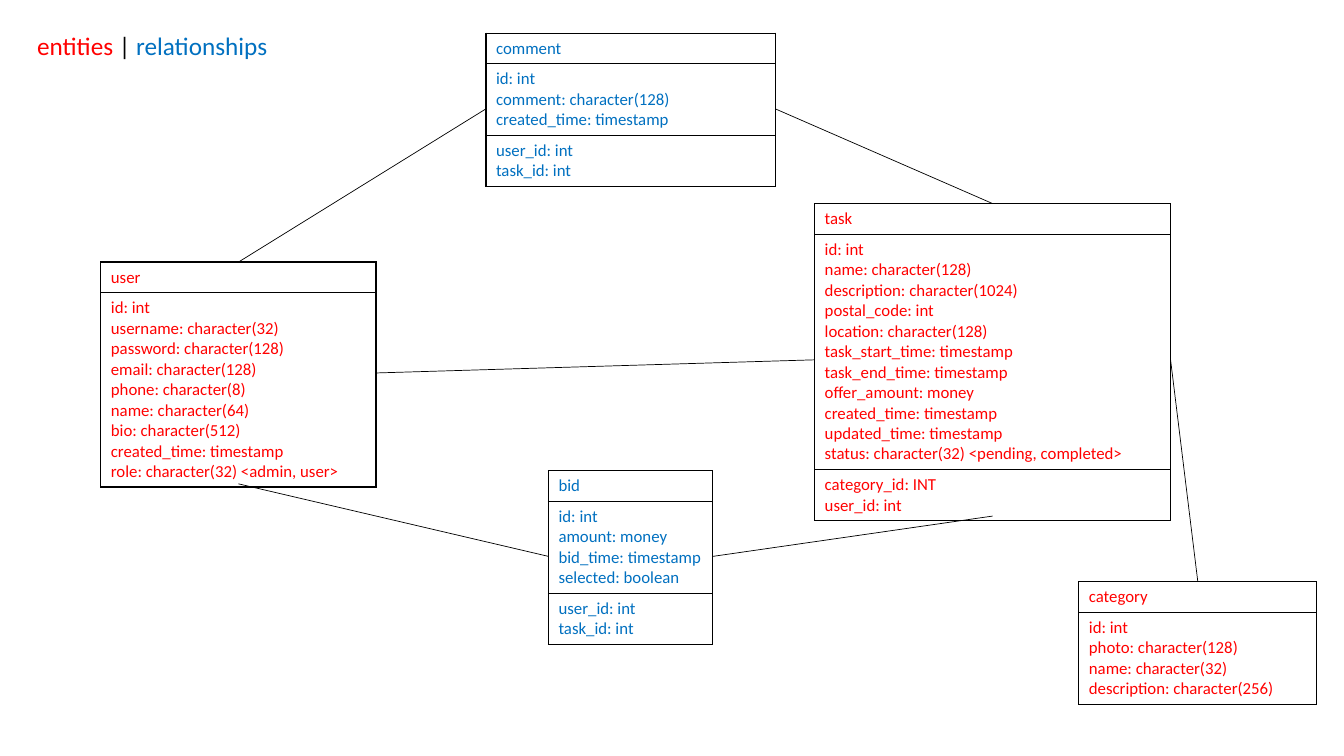
from dataclasses import dataclass

import lxml.etree
import pptx
import pptx.dml.color
import pptx.enum.shapes
import pptx.oxml.ns
import pptx.util

Inches = pptx.util.Inches
qn = pptx.oxml.ns.qn


@dataclass(frozen=True)
class Theme:
    font: str = "Calibri"
    entity: str = "FF0000"
    relationship: str = "0070C0"
    ink: str = "000000"
    title_size: float = 18
    body_size: float = 12
    border_width: float = 1
    link_width: float = 0.5
    line_height: float = 0.2
    cell_padding: float = 0.1


THEME = Theme()


@dataclass(frozen=True)
class Box:
    left: float
    top: float
    width: float
    height: float

    def side(self, name):
        """Return the midpoint of one side."""
        across, down = {"left": (0, 0.5), "right": (1, 0.5),
                        "top": (0.5, 0), "bottom": (0.5, 1)}[name]
        return self.left + across * self.width, self.top + down * self.height


# Name: kind, (left, top, width), sections below the name
TABLES = {
    "user": ("entity", (1, 2.6, 2.73), [
        ["id: int", "username: character(32)", "password: character(128)",
         "email: character(128)", "phone: character(8)", "name: character(64)",
         "bio: character(512)", "created_time: timestamp",
         "role: character(32) <admin, user>"]]),
    "category": ("entity", (10.7, 5.77, 2.36), [
        ["id: int", "photo: character(128)", "name: character(32)",
         "description: character(256)"]]),
    "task": ("entity", (8.08, 2.02, 3.53), [
        ["id: int", "name: character(128)", "description: character(1024)",
         "postal_code: int", "location: character(128)",
         "task_start_time: timestamp", "task_end_time: timestamp",
         "offer_amount: money", "created_time: timestamp",
         "updated_time: timestamp",
         "status: character(32) <pending, completed>"],
        ["category_id: INT", "user_id: int"]]),
    "bid": ("relationship", (5.44, 4.67, 1.63), [
        ["id: int", "amount: money", "bid_time: timestamp", "selected: boolean"],
        ["user_id: int", "task_id: int"]]),
    "comment": ("relationship", (4.82, 0.33, 2.87), [
        ["id: int", "comment: character(128)", "created_time: timestamp"],
        ["user_id: int", "task_id: int"]]),
}

LINKS = [
    ("task", "right", "category", "top"),
    ("user", "right", "task", "left"),
    ("user", "bottom", "bid", "left"),
    ("bid", "right", "task", "bottom"),
    ("comment", "right", "task", "top"),
    ("user", "top", "comment", "left"),
]


def add_text(paragraph, text, *, size, color):
    run = paragraph.add_run()
    run.text = text
    run.font.name = THEME.font
    run.font.size = pptx.util.Pt(size)
    run.font.color.rgb = pptx.dml.color.RGBColor.from_string(color)


def set_borders(cell):
    properties = cell._tc.get_or_add_tcPr()
    for edge in ("a:lnL", "a:lnR", "a:lnT", "a:lnB"):
        line = lxml.etree.SubElement(properties, qn(edge))
        line.set("w", str(pptx.util.Pt(THEME.border_width)))
        fill = lxml.etree.SubElement(line, qn("a:solidFill"))
        lxml.etree.SubElement(fill, qn("a:srgbClr")).set("val", THEME.ink)


def add_legend(slide, box):
    text_box = slide.shapes.add_textbox(
        Inches(box.left), Inches(box.top), Inches(box.width), Inches(box.height))
    text_box.text_frame.word_wrap = True
    paragraph = text_box.text_frame.paragraphs[0]
    for text, color in (("entities", THEME.entity), (" | ", THEME.ink),
                        ("relationships", THEME.relationship)):
        add_text(paragraph, text, size=THEME.title_size, color=color)


def add_schema_table(slide, box, sections, heights, color):
    frame = slide.shapes.add_table(
        len(sections), 1,
        Inches(box.left), Inches(box.top), Inches(box.width), Inches(box.height))
    table = frame.table
    table.first_row = False
    table.horz_banding = False
    for index, (fields, height) in enumerate(zip(sections, heights)):
        table.rows[index].height = Inches(height)
        cell = table.cell(index, 0)
        set_borders(cell)
        cell.fill.background()
        text_frame = cell.text_frame
        for position, field in enumerate(fields):
            paragraph = (text_frame.add_paragraph() if position
                         else text_frame.paragraphs[0])
            add_text(paragraph, field, size=THEME.body_size, color=color)


def add_link(slide, start, end):
    connector = slide.shapes.add_connector(
        pptx.enum.shapes.MSO_CONNECTOR.STRAIGHT,
        *(Inches(value) for value in (*start, *end)))
    connector.line.color.rgb = pptx.dml.color.RGBColor.from_string(THEME.ink)
    connector.line.width = pptx.util.Pt(THEME.link_width)
    lxml.etree.SubElement(connector._element.spPr, qn("a:effectLst"))


def add_diagram(slide, left, top):
    # Tables, each row as tall as its lines
    boxes = {}
    for name, (kind, (x, y, width), fields) in TABLES.items():
        sections = [[name], *fields]
        heights = [THEME.cell_padding + THEME.line_height * len(section)
                   for section in sections]
        boxes[name] = Box(left + x, top + y, width, sum(heights))
        add_schema_table(slide, boxes[name], sections, heights,
                         getattr(THEME, kind))

    # Links between side midpoints
    for source, source_side, target, target_side in LINKS:
        add_link(slide, boxes[source].side(source_side),
                 boxes[target].side(target_side))


presentation = pptx.Presentation()
presentation.slide_width = Inches(13.33)
presentation.slide_height = Inches(7.5)
slide = presentation.slides.add_slide(presentation.slide_layouts[6])
add_diagram(slide, 0, 0)
add_legend(slide, Box(0.27, 0.25, 2.59, 0.4))
presentation.save("out.pptx")
